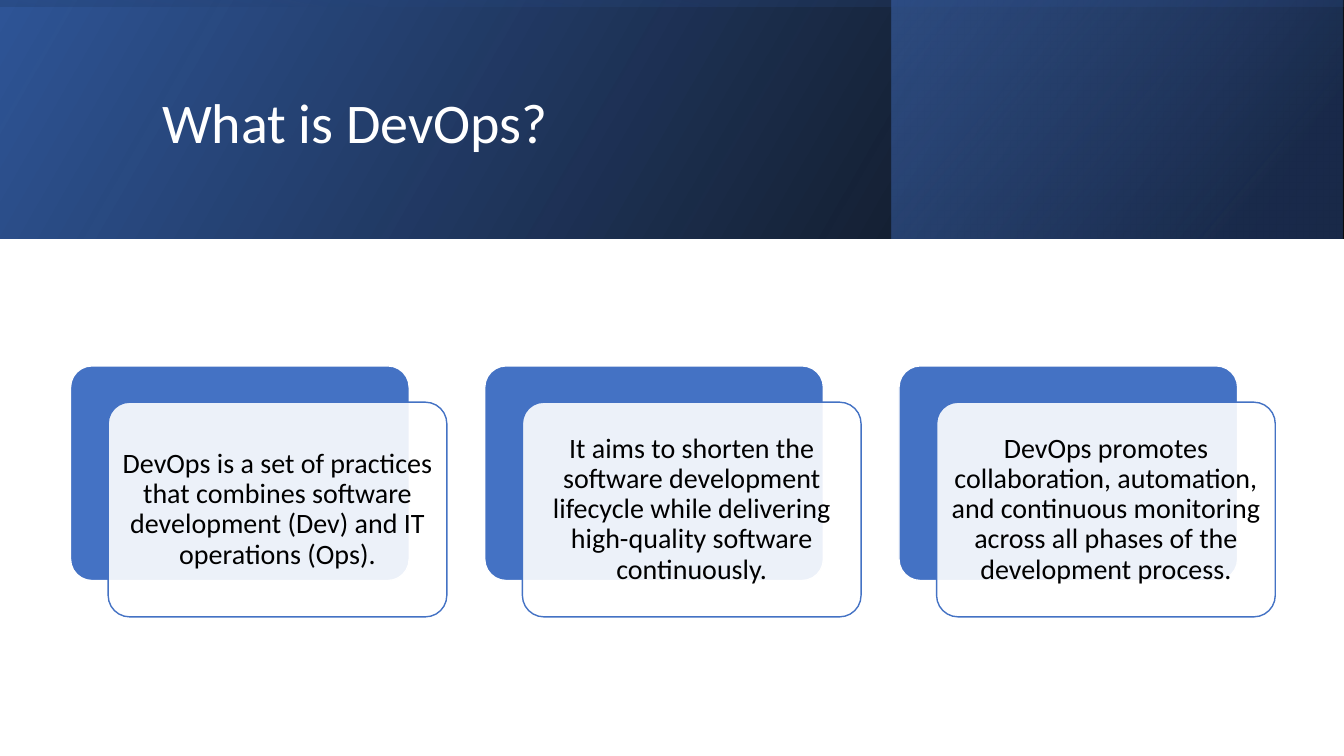
from typing import Any, NamedTuple

from lxml import etree
from pptx import Presentation, util as u
from pptx.dml.color import RGBColor
from pptx.enum import shapes, text
from pptx.oxml import ns

WHITE = RGBColor(0xFF, 0xFF, 0xFF)
BLACK = RGBColor(0x00, 0x00, 0x00)
BLUE = RGBColor(0x44, 0x72, 0xC4)
DEEP_BLUE = RGBColor(0x2F, 0x55, 0x97)
NAVY = RGBColor(0x20, 0x38, 0x64)

SLIDE_W, SLIDE_H = u.Inches(13.333), u.Inches(7.5)


class Box(NamedTuple):
    """Left, top, width and height in percent of the slide."""
    left: float
    top: float
    width: float
    height: float

    def emu(self) -> list[int]:
        sides = (SLIDE_W, SLIDE_H, SLIDE_W, SLIDE_H)
        return [round(share * side / 100) for share, side in zip(self, sides)]

    def moved(self, dx: float, dy: float) -> "Box":
        return self._replace(left=self.left + dx, top=self.top + dy)

    def inset(self, dx: float, dy: float) -> "Box":
        return Box(self.left + dx, self.top + dy,
                   self.width - 2 * dx, self.height - 2 * dy)


class Stop(NamedTuple):
    position: int
    color: RGBColor
    opacity: int


class Band(NamedTuple):
    box: Box
    stops: tuple[Stop, Stop]
    angle: int
    rotation: int = 0


BANDS = (
    Band(Box(0, 0, 100, 31.6), (Stop(0, BLACK, 96), Stop(100, DEEP_BLUE, 100)), 330),
    Band(Box(66.32, 0, 33.6, 31.6), (Stop(19, NAVY, 68), Stop(100, BLUE, 48)), 320),
    Band(Box(41.11, -73.09, 17.78, 177.78),
         (Stop(23, DEEP_BLUE, 16), Stop(99, BLACK, 45)), 350, 270),
)
TITLE_BOX = Box(11.33, 5.07, 79.72, 22.93)
CARD = Box(5.25, 48.4, 25.2, 28.4)
CARD_PITCH = 30.82
CARD_SHIFT = (2.8, 4.8)
TEXT_INSET = (0.47, 0.8)
CARD_TEXTS = (
    "DevOps is a set of practices that combines software development (Dev) "
    "and IT operations (Ops).",
    "It aims to shorten the software development lifecycle while delivering "
    "high-quality software continuously.",
    "DevOps promotes collaboration, automation, and continuous monitoring "
    "across all phases of the development process.",
)

TITLE_FONT = {"name": "Calibri", "size": u.Pt(40)}
CARD_FONT = {"name": "Calibri", "size": u.Pt(20)}
TITLE_PARAGRAPH = {"line_spacing": 0.9}
CARD_PARAGRAPH = {"line_spacing": 0.9, "space_after": u.Pt(7),
                  "alignment": text.PP_ALIGN.CENTER}
CARD_MARGINS = {f"margin_{side}": u.Inches(0.08)
                for side in ("left", "top", "right", "bottom")}


def apply(target: Any, values: dict[str, Any]) -> None:
    for name, value in values.items():
        setattr(target, name, value)


def add_alpha(color: Any, opacity: int) -> None:
    etree.SubElement(color, ns.qn("a:alpha"), val=str(opacity * 1000))


def add_band(s: Any, band: Band) -> None:
    sp = s.shapes.add_shape(shapes.MSO_SHAPE.RECTANGLE, *band.box.emu())
    sp.shadow.inherit = False
    sp.line.fill.background()
    sp.rotation = band.rotation
    sp.fill.gradient()
    sp.fill.gradient_angle = 360 - band.angle
    sp._element.spPr.find(ns.qn("a:xfrm")).set("flipH", "1")
    for gradient_stop, stop in zip(sp.fill.gradient_stops, band.stops):
        gradient_stop.position = stop.position / 100
        gradient_stop.color.rgb = stop.color
    for color, stop in zip(sp._element.spPr.iter(ns.qn("a:srgbClr")), band.stops):
        add_alpha(color, stop.opacity)


def add_text(s: Any, box: Box, words: str, color: RGBColor, font: dict[str, Any],
             paragraph: dict[str, Any], margins: dict[str, Any]) -> None:
    tf = s.shapes.add_textbox(*box.emu()).text_frame
    apply(tf, {"word_wrap": True, "vertical_anchor": text.MSO_ANCHOR.MIDDLE, **margins})
    p = tf.paragraphs[0]
    apply(p, paragraph)
    r = p.add_run()
    r.text = words
    apply(r.font, font)
    r.font.color.rgb = color


def add_panel(s: Any, box: Box, fill: RGBColor, line: RGBColor, opacity: int) -> None:
    sp = s.shapes.add_shape(shapes.MSO_SHAPE.ROUNDED_RECTANGLE, *box.emu())
    sp.shadow.inherit = False
    sp.adjustments[0] = 0.1
    sp.fill.solid()
    sp.fill.fore_color.rgb = fill
    add_alpha(sp._element.spPr.find(ns.qn("a:solidFill"))[0], opacity)
    sp.line.color.rgb = line
    sp.line.width = u.Pt(1)


def add_card(s: Any, back: Box, words: str) -> None:
    front = back.moved(*CARD_SHIFT)
    add_panel(s, back, BLUE, WHITE, 100)
    add_panel(s, front, WHITE, BLUE, 90)
    add_text(s, front.inset(*TEXT_INSET), words, BLACK,
             CARD_FONT, CARD_PARAGRAPH, CARD_MARGINS)


def main() -> None:
    prs = Presentation()
    apply(prs, {"slide_width": SLIDE_W, "slide_height": SLIDE_H})
    s = prs.slides.add_slide(prs.slide_layouts[6])
    for band in BANDS:
        add_band(s, band)
    add_text(s, TITLE_BOX, "What is DevOps?", WHITE, TITLE_FONT, TITLE_PARAGRAPH, {})
    for column, words in enumerate(CARD_TEXTS):
        add_card(s, CARD.moved(column * CARD_PITCH, 0), words)
    prs.save("out.pptx")


if __name__ == "__main__":
    main()
